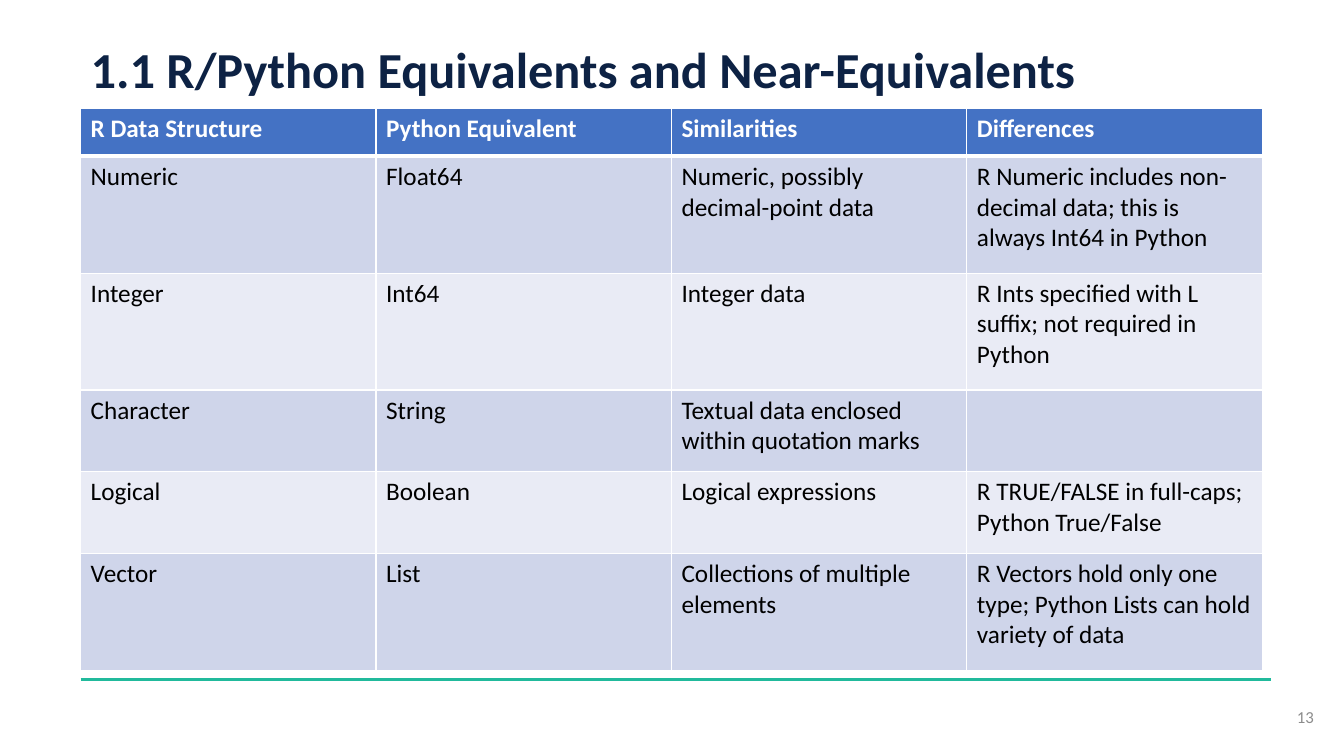
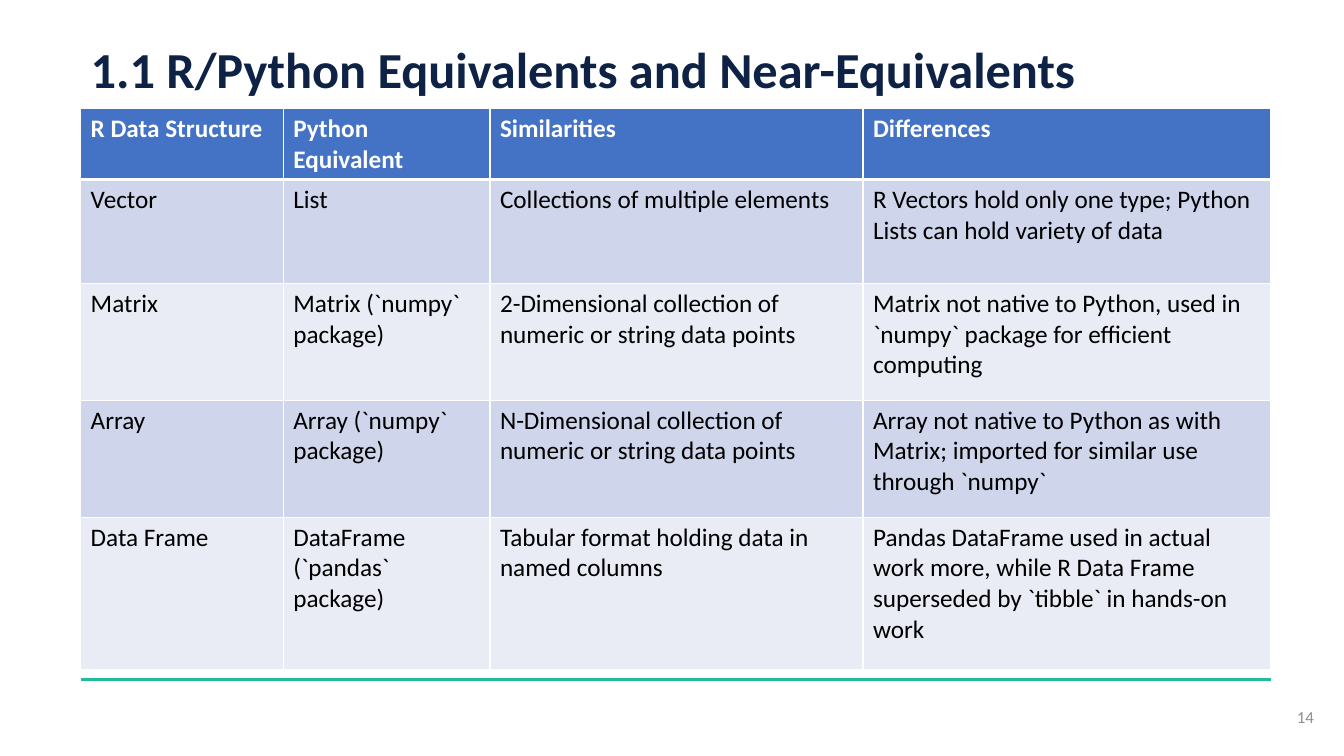
from lxml.etree import SubElement
from pptx import Presentation
from pptx.dml.color import RGBColor
from pptx.enum.shapes import MSO_CONNECTOR
from pptx.enum.text import MSO_ANCHOR, PP_ALIGN
from pptx.oxml.ns import qn
from pptx.util import Inches, Pt

FONT = "Calibri"
NAVY = RGBColor(0x0D, 0x22, 0x44)
TEAL = RGBColor(0x21, 0xBA, 0x9C)
GREY = RGBColor(0x8C, 0x8C, 0x8C)
BLUE = RGBColor(0x44, 0x72, 0xC4)
BAND_DARK = RGBColor(0xCF, 0xD5, 0xEA)
BAND_LIGHT = RGBColor(0xE9, 0xEB, 0xF5)
WHITE = RGBColor(0xFF, 0xFF, 0xFF)
BLACK = RGBColor(0, 0, 0)

LEFT, RIGHT = 0.8, 12.61
TITLE = "1.1 R/Python Equivalents and Near-Equivalents"
HEADER = ("R Data Structure", "Python Equivalent", "Similarities", "Differences")
VECTOR = ("Vector", "List", "Collections of multiple elements",
          "R Vectors hold only one type; Python Lists can hold variety of data")

# Page number, column widths, row heights, body rows
PAGES = [
    (13, [2.93] * 4, [0.47, 1.16, 1.16, 0.81, 0.81, 1.16], [
        ("Numeric", "Float64", "Numeric, possibly decimal-point data",
         "R Numeric includes non-decimal data; this is always Int64 in Python"),
        ("Integer", "Int64", "Integer data",
         "R Ints specified with L suffix; not required in Python"),
        ("Character", "String", "Textual data enclosed within quotation marks", ""),
        ("Logical", "Boolean", "Logical expressions",
         "R TRUE/FALSE in full-caps; Python True/False"),
        VECTOR,
    ]),
    (14, [2.01, 2.05, 3.7, 4.04], [0.7, 1.03, 1.16, 1.16, 1.51], [
        VECTOR,
        ("Matrix", "Matrix (`numpy` package)",
         "2-Dimensional collection of numeric or string data points",
         "Matrix not native to Python, used in `numpy` package for efficient computing"),
        ("Array", "Array (`numpy` package)",
         "N-Dimensional collection of numeric or string data points",
         "Array not native to Python as with Matrix; imported for similar use "
         "through `numpy`"),
        ("Data Frame", "DataFrame (`pandas` package)",
         "Tabular format holding data in named columns",
         "Pandas DataFrame used in actual work more, while R Data Frame superseded "
         "by `tibble` in hands-on work"),
    ]),
]


def write(tf, text, size, color, bold=False):
    """Put one formatted paragraph in a text frame and return it."""
    tf.word_wrap = True
    p = tf.paragraphs[0]
    p.text = text
    for r in p.runs:
        r.font.name = FONT
        r.font.size = Pt(size)
        r.font.bold = bold
        r.font.color.rgb = color
    return p


def set_borders(cell, top, bottom):
    """Draw white cell borders; top and bottom widths are in points."""
    tcPr = cell._tc.get_or_add_tcPr()
    for side, width in (("L", 1), ("R", 1), ("T", top), ("B", bottom)):
        ln = SubElement(tcPr, qn(f"a:ln{side}"), w=str(Pt(width)))
        fill = SubElement(ln, qn("a:solidFill"))
        SubElement(fill, qn("a:srgbClr"), val=str(WHITE))


prs = Presentation()
prs.slide_width = Inches(13.33)
prs.slide_height = Inches(7.5)

for number, widths, heights, body in PAGES:
    s = prs.slides.add_slide(prs.slide_layouts[6])

    rule = s.shapes.add_connector(MSO_CONNECTOR.STRAIGHT, Inches(LEFT), Inches(6.74),
                                  Inches(RIGHT), Inches(6.74))
    rule.line.color.rgb = TEAL
    rule.line.width = Pt(2)
    SubElement(rule._element.spPr, qn("a:effectLst"))

    title = s.shapes.add_textbox(Inches(LEFT), Inches(0.4), Inches(RIGHT - LEFT), Inches(1))
    p = write(title.text_frame, TITLE, 36, NAVY, bold=True)
    p.line_spacing = 0.9

    page = s.shapes.add_textbox(Inches(10.13), Inches(6.91), Inches(3), Inches(0.4))
    page.text_frame.vertical_anchor = MSO_ANCHOR.MIDDLE
    p = write(page.text_frame, str(number), 12, GREY)
    p.alignment = PP_ALIGN.RIGHT

    table = s.shapes.add_table(len(heights), len(widths), Inches(LEFT), Inches(1.08),
                               Inches(sum(widths)), Inches(sum(heights))).table
    for column, width in zip(table.columns, widths):
        column.width = Inches(width)
    for i, (height, texts) in enumerate(zip(heights, [HEADER] + body)):
        table.rows[i].height = Inches(height)
        is_header = i == 0
        band = BLUE if is_header else BAND_DARK if i % 2 else BAND_LIGHT
        for j, text in enumerate(texts):
            cell = table.cell(i, j)
            set_borders(cell, top=3 if i == 1 else 1, bottom=3 if is_header else 1)
            cell.fill.solid()
            cell.fill.fore_color.rgb = band
            write(cell.text_frame, text, 18, WHITE if is_header else BLACK, bold=is_header)

prs.save("out.pptx")
